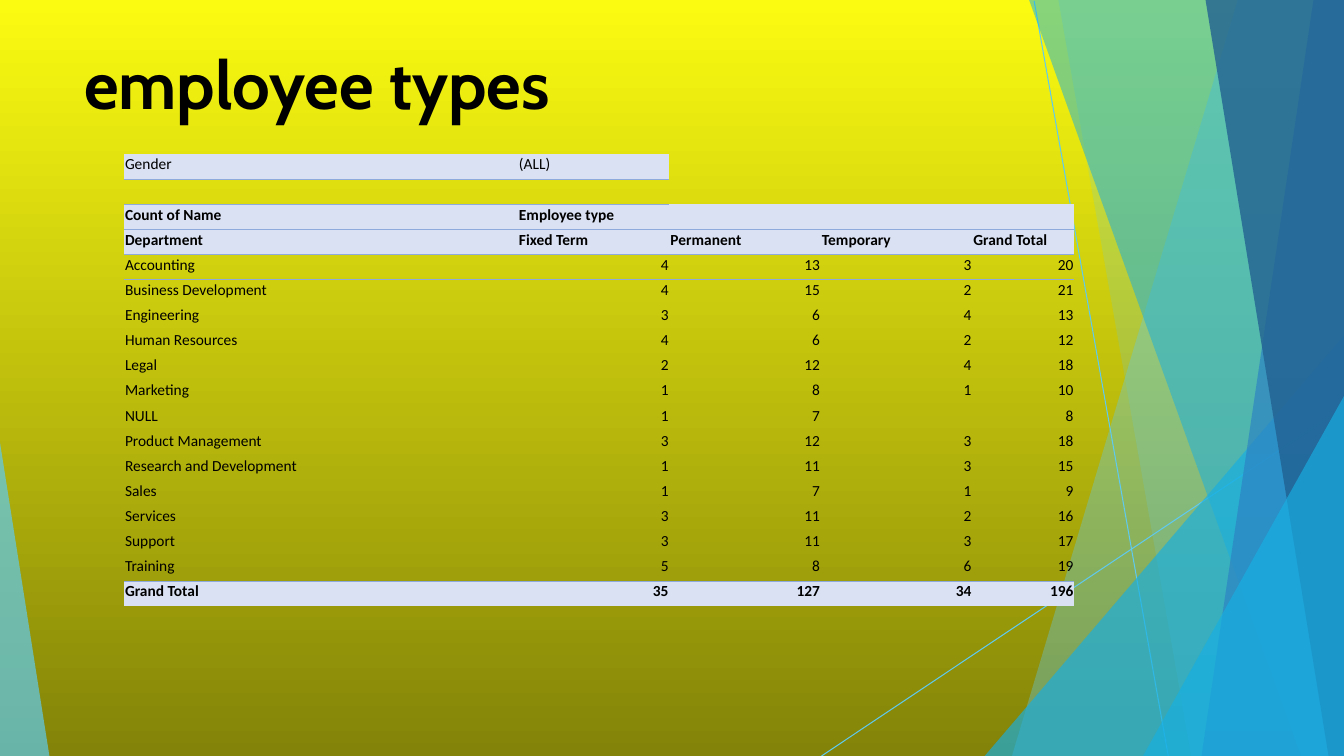
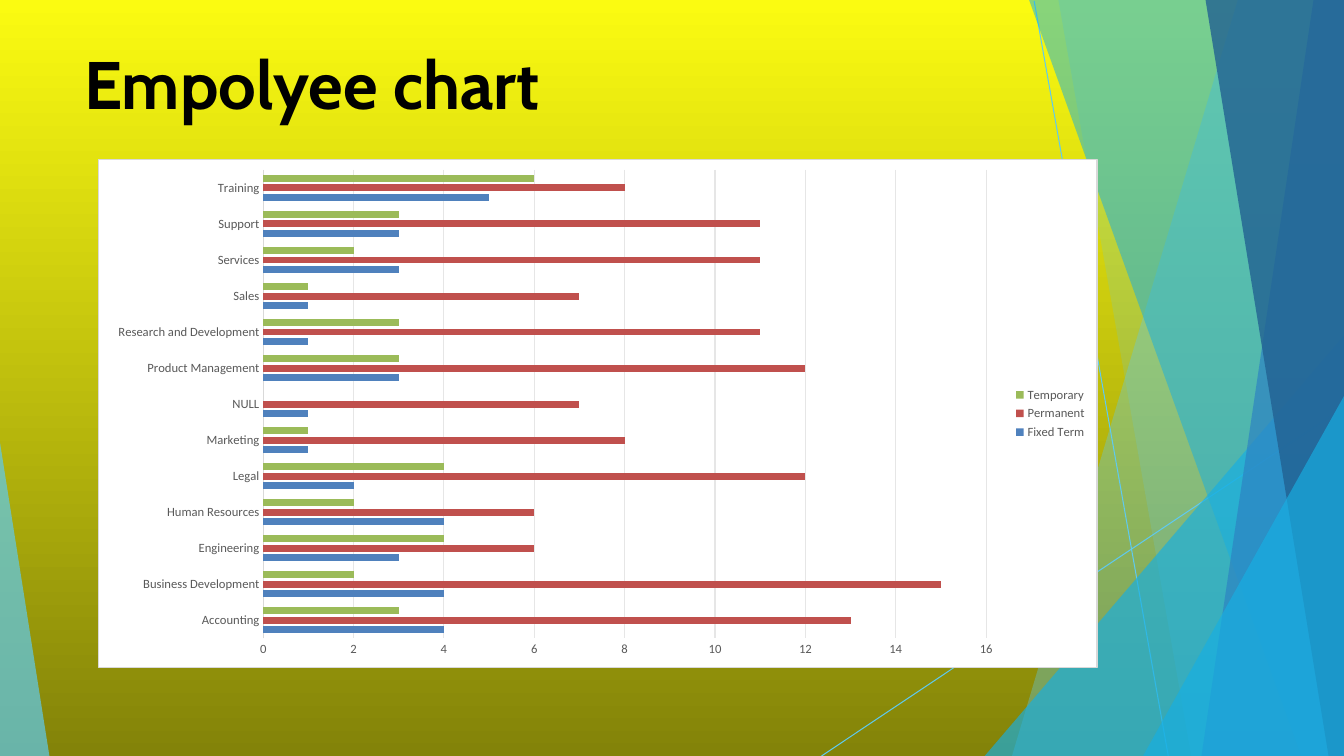
from dataclasses import dataclass

from lxml import etree
from pptx import Presentation
from pptx.chart.data import CategoryChartData
from pptx.dml.color import RGBColor
from pptx.enum.chart import XL_CHART_TYPE, XL_LEGEND_POSITION, XL_TICK_MARK
from pptx.enum.shapes import MSO_CONNECTOR
from pptx.enum.text import MSO_ANCHOR, PP_ALIGN
from pptx.oxml import parse_xml
from pptx.oxml.ns import nsdecls, qn
from pptx.util import Pt

BARS = XL_CHART_TYPE.BAR_CLUSTERED
SIDE = XL_LEGEND_POSITION.RIGHT
NO_TICK = XL_TICK_MARK.NONE
STRAIGHT = MSO_CONNECTOR.STRAIGHT
BOTTOM = MSO_ANCHOR.BOTTOM
LEFT, RIGHT = PP_ALIGN.LEFT, PP_ALIGN.RIGHT
NO_STYLE = "{2D5ABB26-0587-4C30-8999-92F81FD0307C}"


@dataclass(frozen=True)
class Theme:
    head: str = "Cabin"
    body: str = "Calibri"
    ink: str = "000000"
    gray: str = "595959"
    edge: str = "D9D9D9"
    grid: str = "E6E6E6"
    paper: str = "FFFFFF"
    shade: str = "D9E1F2"
    rule: str = "8EA9DB"
    top: str = "FBFB11"
    base: str = "838309"
    sky: str = "5FCAEE"
    cyan: str = "17AFE3"
    blue: str = "2D83C3"
    navy: str = "226192"
    series: tuple = ("4F81BD", "C0504D", "9BBB59")
    title: float = 48
    cell: float = 11
    label: float = 9
    thin: float = 0.5
    line: float = 0.75


T = Theme()
WIDE, HIGH = 960, 540
TITLE = (60, 30, 841, 58)
TABLE = (88.6, 110, 679, 323.1)
CHART = (70, 113.8, 714, 363.2)
PLOT = {"x": 0.165, "y": 0.02, "w": 0.724, "h": 0.923}

RAYS = [(738.7, 0.7, 834.5, HIGH), (WIDE, 290.9, 586.8, HIGH)]
FACETS = [
    (WIDE, 884.2, 0, 722.9, T.sky, 36),
    (WIDE, 756, 0, 851, T.sky, 20),
    (WIDE, WIDE, 239.8, 703.4, T.cyan, 66),
    (WIDE, 735.1, 0, 929.5, T.cyan, 50),
    (WIDE, 938.2, 0, 858.2, T.blue, 70),
    (WIDE, 861.1, 0, 949, T.navy, 80),
    (WIDE, WIDE, 283, 816.5, T.cyan, 66),
    (0, 0, 316.1, 35.3, T.sky, 70),
]

KINDS = ["Fixed Term", "Permanent", "Temporary"]
STAFF = {
    "Accounting": (4, 13, 3),
    "Business Development": (4, 15, 2),
    "Engineering": (3, 6, 4),
    "Human Resources": (4, 6, 2),
    "Legal": (2, 12, 4),
    "Marketing": (1, 8, 1),
    "NULL": (1, 7, None),
    "Product Management": (3, 12, 3),
    "Research and Development": (1, 11, 3),
    "Sales": (1, 7, 1),
    "Services": (3, 11, 2),
    "Support": (3, 11, 3),
    "Training": (5, 8, 6),
}


def rgb(code):
    return RGBColor.from_string(code)


def pts(*nums):
    return [Pt(n) for n in nums]


def style(font, size, color=T.ink, face=T.body, bold=False):
    font.size, font.name, font.bold = Pt(size), face, bold
    font.color.rgb = rgb(color)


def write(frame, text, size, align=LEFT, **look):
    para = frame.paragraphs[0]
    para.alignment = align
    if text:
        run = para.add_run()
        run.text = text
        style(run.font, size, **look)
    else:
        etree.SubElement(para._p, qn("a:endParaRPr"), sz=str(size * 100))


def stroke(line, color, width=T.line):
    line.color.rgb = rgb(color)
    line.width = Pt(width)


def ray(slide, ends):
    link = slide.shapes.add_connector(STRAIGHT, *pts(*ends))
    stroke(link.line, T.sky)
    etree.SubElement(link._element.spPr, qn("a:effectLst"))


def facet(slide, side, x, y, foot, color, alpha):
    pen = slide.shapes.build_freeform(Pt(side), Pt(y), scale=1.0)
    pen.add_line_segments(
        [pts(x, y), pts(foot, HIGH), pts(side, HIGH)], close=True)
    shape = pen.convert_to_shape()
    shape.shadow.inherit = False
    shape.fill.solid()
    shape.fill.fore_color.rgb = rgb(color)
    shape.line.fill.background()
    tint = shape._element.spPr.find(".//" + qn("a:srgbClr"))
    etree.SubElement(tint, qn("a:alpha"), val=str(alpha * 1000))


def base(deck, title):
    slide = deck.slides.add_slide(deck.slide_layouts[6])
    fill = slide.background.fill
    fill.gradient()
    fill.gradient_angle = 270
    for stop, color in zip(fill.gradient_stops, (T.top, T.base)):
        stop.color.rgb = rgb(color)
    for ends in RAYS:
        ray(slide, ends)
    for parts in FACETS:
        facet(slide, *parts)
    frame = slide.shapes.add_textbox(*pts(*TITLE)).text_frame
    frame.word_wrap = True
    frame.margin_left = frame.margin_right = 0
    frame.margin_top = frame.margin_bottom = 0
    write(frame, title, T.title, face=T.head, bold=True)
    return slide


def border(cell, side):
    line = parse_xml(
        f'<a:{side} {nsdecls("a")} w="{Pt(T.thin)}"><a:solidFill>'
        f'<a:srgbClr val="{T.rule}"/></a:solidFill></a:{side}>')
    cell._tc.get_or_add_tcPr().insert(0, line)


def fill_cell(cell, text, shade, over, under, **look):
    cell.margin_left = cell.margin_right = cell.margin_top = Pt(0.7)
    cell.margin_bottom = Pt(3.6)
    cell.vertical_anchor = BOTTOM
    write(cell.text_frame, text, T.cell, **look)
    if shade:
        cell.fill.solid()
        cell.fill.fore_color.rgb = rgb(T.shade)
    else:
        cell.fill.background()
    if under:
        border(cell, "lnB")
    if over:
        border(cell, "lnT")


def rows():
    total = [sum(n or 0 for n in col) for col in zip(*STAFF.values())]
    body = [[name, *nums, sum(n or 0 for n in nums)]
            for name, nums in STAFF.items()]
    return [
        ["Gender", "(ALL)", None, None, None],
        [None] * 5,
        ["Count of Name", "Employee type", None, None, None],
        ["Department", *KINDS, "Grand Total"],
        *body,
        ["Grand Total", *total, sum(total)],
    ]


def staff_table(slide, box):
    data = rows()
    last = len(data) - 1
    shape = slide.shapes.add_table(len(data), 5, *pts(*box))
    table = shape.table
    table.first_row = table.horz_banding = False
    table._tbl.tblPr.find(qn("a:tableStyleId")).text = NO_STYLE
    for col, part in zip(table.columns, (0.4144, 0.1594, 0.1594, 0.1594, 0.1074)):
        col.width = Pt(round(box[2] * part, 1))
    shaded, ruled, strong = (0, 2, 3, last), (0, 2, 3, last - 1), (2, 3, last)
    for r, row in enumerate(data):
        table.rows[r].height = Pt(box[3] / len(data))
        for c, value in enumerate(row):
            def drawn(marks, at):
                return at in marks and (at > 0 or c < 2)
            fill_cell(
                table.cell(r, c), "" if value is None else str(value),
                drawn(shaded, r), drawn(ruled, r - 1), drawn(ruled, r),
                bold=r in strong,
                align=RIGHT if isinstance(value, int) else LEFT)


def frame_chart(chart):
    area = parse_xml(
        f'<c:spPr {nsdecls("c", "a")}><a:solidFill><a:srgbClr val="{T.paper}"/>'
        f'</a:solidFill><a:ln w="{Pt(T.line)}"><a:solidFill>'
        f'<a:srgbClr val="{T.edge}"/></a:solidFill></a:ln></c:spPr>')
    root = chart._chartSpace
    root.find(qn("c:chart")).addnext(area)
    plot = root.find(".//" + qn("c:plotArea"))
    old = plot.find(qn("c:layout"))
    if old is not None:
        plot.remove(old)
    modes = '<c:xMode val="edge"/><c:yMode val="edge"/>'
    sizes = "".join(f'<c:{k} val="{v}"/>' for k, v in PLOT.items())
    plot.insert(0, parse_xml(
        f'<c:layout {nsdecls("c")}><c:manualLayout>'
        f'<c:layoutTarget val="inner"/>{modes}{sizes}'
        f'</c:manualLayout></c:layout>'))


def staff_chart(slide, box):
    data = CategoryChartData()
    data.categories = list(STAFF)
    for name, vals in zip(KINDS, zip(*STAFF.values())):
        data.add_series(name, vals)
    chart = slide.shapes.add_chart(BARS, *pts(*box), data).chart
    chart.has_title = False
    style(chart.font, 10)
    chart.has_legend = True
    chart.legend.position = SIDE
    chart.legend.include_in_layout = False
    style(chart.legend.font, T.label, color=T.gray)
    plot = chart.plots[0]
    plot.gap_width, plot.overlap = 140, -40
    plot.vary_by_categories = False
    for item, color in zip(plot.series, T.series):
        item.format.fill.solid()
        item.format.fill.fore_color.rgb = rgb(color)
        item.invert_if_negative = False
    cats, vals = chart.category_axis, chart.value_axis
    for axis in (cats, vals):
        axis.major_tick_mark = axis.minor_tick_mark = NO_TICK
        style(axis.tick_labels.font, T.label, color=T.gray)
    stroke(cats.format.line, T.edge)
    vals.format.line.fill.background()
    vals.minimum_scale, vals.maximum_scale, vals.major_unit = 0, 16, 2
    vals.has_major_gridlines = True
    stroke(vals.major_gridlines.format.line, T.grid)
    frame_chart(chart)


def main():
    deck = Presentation()
    deck.slide_width, deck.slide_height = pts(WIDE, HIGH)
    staff_table(base(deck, "employee types"), TABLE)
    staff_chart(base(deck, "Empolyee chart"), CHART)
    deck.save("out.pptx")


if __name__ == "__main__":
    main()
